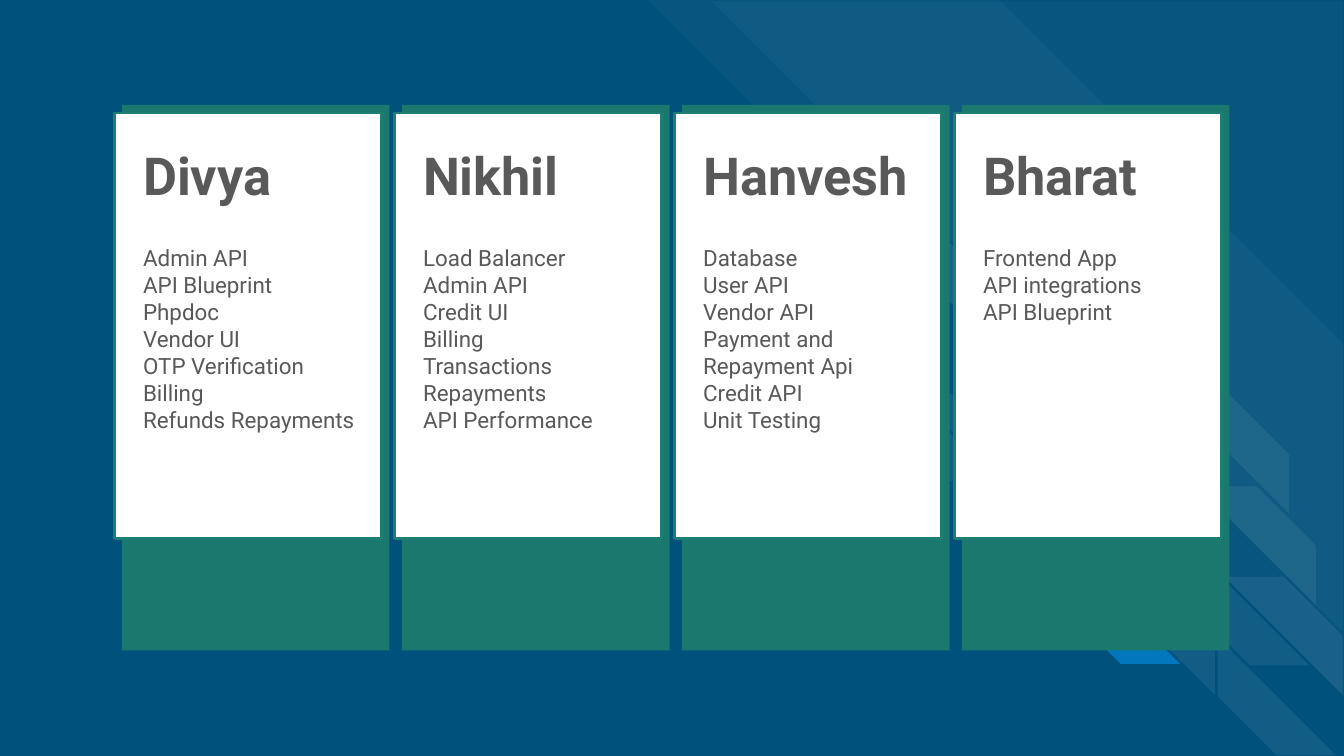
from lxml import etree
from pptx import Presentation
from pptx.dml.color import RGBColor
from pptx.enum.shapes import MSO_SHAPE
from pptx.oxml.ns import qn
from pptx.util import Pt

RECT = MSO_SHAPE.RECTANGLE
STRIPE = MSO_SHAPE.DIAGONAL_STRIPE

NAVY = RGBColor(0x00, 0x51, 0x7C)
BLUE = RGBColor(0x02, 0x77, 0xBD)
GREEN = RGBColor(0x1B, 0x78, 0x6E)
EDGE = RGBColor(0x1D, 0x7E, 0x74)
WHITE = RGBColor(0xFF, 0xFF, 0xFF)
GREY = RGBColor(0x59, 0x59, 0x59)

TEAM = [
    ("Divya", ["Admin API", "API Blueprint", "Phpdoc", "Vendor UI",
               "OTP Verification", "Billing", "Refunds Repayments"]),
    ("Nikhil", ["Load Balancer", "Admin API", "Credit UI", "Billing",
                "Transactions Repayments", "API Performance"]),
    ("Hanvesh", ["Database", "User API", "Vendor API",
                 "Payment and Repayment Api", "Credit API", "Unit Testing"]),
    ("Bharat", ["Frontend App", "API integrations", "API Blueprint"]),
]

# left, top, size, turn, cut, colour, opacity in percent
BANDS = [
    (347, 0, 373, 90, 0.495, WHITE, 3),
    (381.2, 0.7, 338.2, 90, 0, WHITE, 3),
]
SMALL = 63.4
CHIPS = [  # left, top, turn, colour, opacity in percent
    (460.8, 113.8, 90, WHITE, 7),
    (471.6, 194.4, 270, WHITE, 7),
    (489.6, 211, 90, WHITE, 7),
    (627.1, 211.7, 90, WHITE, 7),
    (641.5, 260.6, 90, WHITE, 7),
    (568.8, 292.3, 270, BLUE, 100),
    (587.5, 308.9, 90, WHITE, 7),
    (637.9, 293, 270, WHITE, 7),
    (655.9, 308.9, 90, WHITE, 7),
    (652.3, 341.3, 270, WHITE, 7),
]

LEFT, PITCH = 61.2, 150
WIDE = 143.3


def add_box(kind, left, top, wide, high, fill):
    box = slide.shapes.add_shape(kind, Pt(left), Pt(top), Pt(wide), Pt(high))
    box.shadow.inherit = False
    box.fill.solid()
    box.fill.fore_color.rgb = fill
    box.line.fill.background()
    return box


def add_stripe(left, top, size, turn, cut, fill, alpha):
    box = add_box(STRIPE, left, top, size, size, fill)
    box.rotation = turn
    box.adjustments[0] = cut
    if alpha < 100:
        tint = box.element.spPr.find(f"{qn('a:solidFill')}/{qn('a:srgbClr')}")
        etree.SubElement(tint, qn("a:alpha"), val=str(alpha * 1000))


def add_text(left, top, high, lines, size, bold=False):
    box = slide.shapes.add_textbox(Pt(left), Pt(top), Pt(128.4), Pt(high))
    frame = box.text_frame
    frame.word_wrap = True
    frame.margin_left = frame.margin_right = Pt(7.2)
    frame.margin_top = frame.margin_bottom = Pt(7.2)
    frame.text = "\n".join(lines)
    for para in frame.paragraphs:
        font = para.font
        font.name, font.size, font.bold = "Roboto", Pt(size), bold
        font.color.rgb = GREY


deck = Presentation()
deck.slide_width, deck.slide_height = Pt(720), Pt(405)
slide = deck.slides.add_slide(deck.slide_layouts[6])
slide.background.fill.solid()
slide.background.fill.fore_color.rgb = NAVY

for band in BANDS:
    add_stripe(*band)
for left, top, turn, fill, alpha in CHIPS:
    add_stripe(left, top, SMALL, turn, 0.5, fill, alpha)

for col, (name, tasks) in enumerate(TEAM):
    left = LEFT + col * PITCH
    add_box(RECT, left + 4.2, 56.2, WIDE, 292.3, GREEN)
    card = add_box(RECT, left, 60.5, WIDE, 228, WHITE)
    card.line.color.rgb = EDGE
    card.line.width = Pt(1.5)
    add_text(left + 8.4, 69.8, 48.2, [name], 28, True)
    add_text(left + 8.4, 123.8, 152, tasks, 12)

deck.save("out.pptx")
